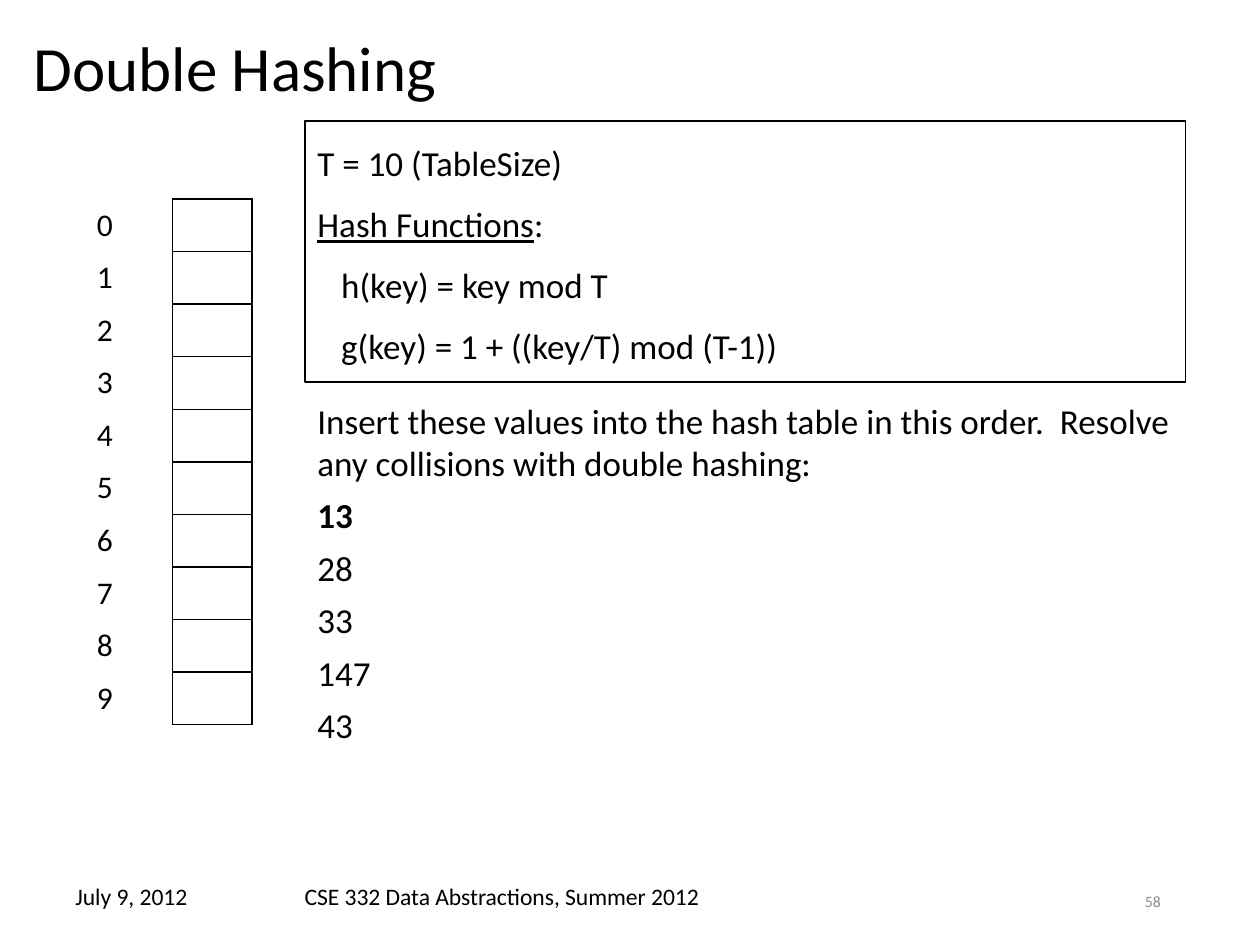
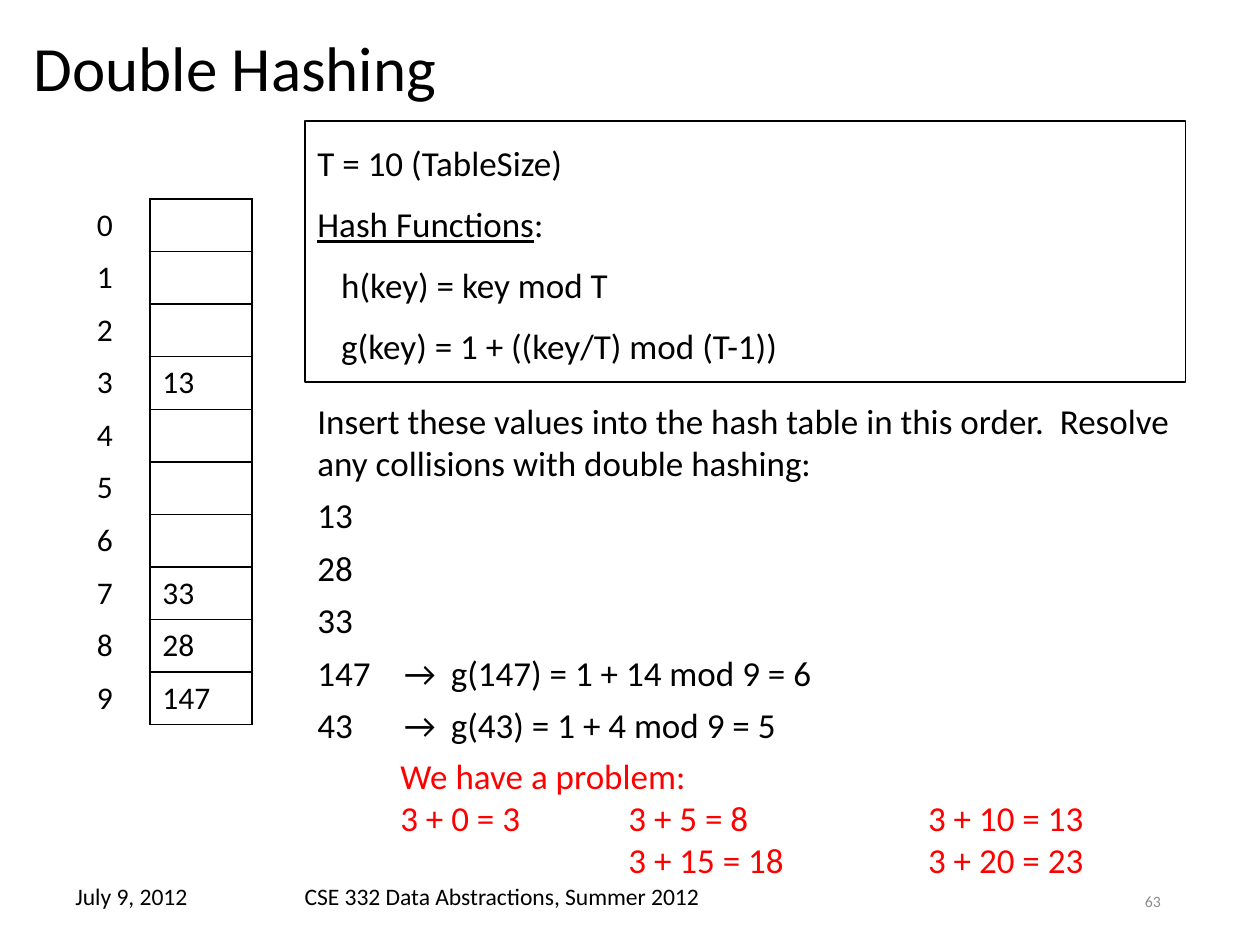
from dataclasses import dataclass
from typing import Optional

import pptx
import pptx.dml.color
import pptx.enum.shapes
import pptx.enum.text
import pptx.oxml
import pptx.oxml.ns
import pptx.util
from pptx.util import Cm

BLACK = pptx.dml.color.RGBColor(0x00, 0x00, 0x00)
GRAY = pptx.dml.color.RGBColor(0x8C, 0x8C, 0x8C)
RED = pptx.dml.color.RGBColor(0xFF, 0x00, 0x00)
FONT = "Calibri"
BODY_SIZE = 20
BUCKET_SIZE = 18
BUCKET_COUNT = 10
BUCKET_HEIGHT = Cm(1.06)
BORDER_WIDTH = pptx.util.Pt(1)
STEP_TABS = (Cm(1.75), Cm(2.69))
PROBE_TABS = (Cm(4.6), Cm(10.64))
ANCHOR = pptx.enum.text.MSO_ANCHOR
ALIGN = pptx.enum.text.PP_ALIGN


@dataclass(frozen=True)
class Box:
    left: Cm
    top: Cm
    width: Cm
    height: Cm


@dataclass(frozen=True)
class Line:
    text: str
    underlined: str = ""
    bold: bool = False
    margin: Cm = Cm(0)
    tabs: tuple[Cm, ...] = ()


@dataclass(frozen=True)
class TextStyle:
    size: float = BODY_SIZE
    color: pptx.dml.color.RGBColor = BLACK
    align: ALIGN = ALIGN.LEFT
    anchor: ANCHOR = ANCHOR.TOP
    line_spacing: float = 1.0
    space_before: float = 0
    grow: bool = False


@dataclass(frozen=True)
class HashingStep:
    number: str
    values: tuple[Line, ...]
    values_height: Cm
    buckets: dict[int, str]
    index_width: Cm
    bucket_width: Cm
    problem: tuple[Line, ...] = ()


TITLE_BOX = Box(Cm(0.43), Cm(0.48), Cm(24.56), Cm(1.9))
FUNCTIONS_BOX = Box(Cm(6.15), Cm(2.44), Cm(17.75), Cm(5.26))
PROBLEM_BOX = Box(Cm(7.82), Cm(15.09), Cm(17.12), Cm(2.82))
FOOTER_TOP, FOOTER_HEIGHT = Cm(17.65), Cm(1.02)
DATE_BOX = Box(Cm(1.27), FOOTER_TOP, Cm(4.45), FOOTER_HEIGHT)
COURSE_BOX = Box(Cm(5.89), FOOTER_TOP, Cm(13.59), FOOTER_HEIGHT)
NUMBER_BOX = Box(Cm(17.93), FOOTER_TOP, Cm(5.72), FOOTER_HEIGHT)

TITLE_STYLE = TextStyle(36, anchor=ANCHOR.MIDDLE, line_spacing=0.9)
FUNCTIONS_STYLE = TextStyle(line_spacing=1.2, space_before=6, grow=True)
VALUES_STYLE = TextStyle(space_before=6, grow=True)
PROBLEM_STYLE = TextStyle(color=RED, grow=True)
FOOTER_STYLE = TextStyle(13.5)
NUMBER_STYLE = TextStyle(9, GRAY, ALIGN.RIGHT, ANCHOR.MIDDLE)
BUCKET_STYLE = TextStyle(BUCKET_SIZE, anchor=ANCHOR.MIDDLE)

FUNCTION_LINES = (
    Line("T = 10 (TableSize)"),
    Line(":", underlined="Hash Functions"),
    Line("h(key) = key mod T", margin=Cm(0.48)),
    Line("g(key) = 1 + ((key/T) mod (T-1))", margin=Cm(0.48)),
)
TASK = Line(
    "Insert these values into the hash table in this order.  "
    "Resolve any collisions with double hashing:"
)

STEPS = (
    HashingStep(
        number="58",
        values=(Line("13", bold=True), Line("28"), Line("33"), Line("147"), Line("43")),
        values_height=Cm(7.32),
        buckets={},
        index_width=Cm(1.78),
        bucket_width=Cm(1.6),
    ),
    HashingStep(
        number="63",
        values=(
            Line("13"),
            Line("28"),
            Line("33"),
            Line("147\t→\tg(147) = 1 + 14 mod 9 = 6", tabs=STEP_TABS),
            Line("43\t→\tg(43) = 1 + 4 mod 9 = 5", tabs=STEP_TABS),
        ),
        values_height=Cm(8.38),
        buckets={3: "13", 7: "33", 8: "28", 9: "147"},
        index_width=Cm(1.32),
        bucket_width=Cm(2.06),
        problem=(
            Line("We have a problem:"),
            Line(
                "3 + 0 = 3\t3 + 5 = 8\t3 + 10 = 13\v\t3 + 15 = 18\t3 + 20 = 23",
                tabs=PROBE_TABS,
            ),
        ),
    ),
)


def add_element(parent, tag: str, **attributes: str):
    element = parent.makeelement(pptx.oxml.ns.qn(tag), attributes)
    parent.append(element)
    return element


def write_line(paragraph, line: Line, style: TextStyle) -> None:
    paragraph.text = line.text
    if line.underlined:
        paragraph.text = ""
        heading = paragraph.add_run()
        heading.text = line.underlined
        heading.font.underline = True
        paragraph.add_run().text = line.text
    paragraph.alignment = style.align
    paragraph.line_spacing = style.line_spacing
    properties = paragraph._p.get_or_add_pPr()
    if line.margin:
        properties.set("marL", str(line.margin))
    if line.tabs:
        tab_list = add_element(properties, "a:tabLst")
        for position in line.tabs:
            add_element(tab_list, "a:tab", pos=str(position), algn="l")
    paragraph.font.name = FONT
    paragraph.font.size = pptx.util.Pt(style.size)
    paragraph.font.color.rgb = style.color
    paragraph.font.bold = line.bold


def fill_frame(frame, lines: tuple[Line, ...], style: TextStyle) -> None:
    frame.word_wrap = True
    frame.vertical_anchor = style.anchor
    if style.grow:
        frame.auto_size = pptx.enum.text.MSO_AUTO_SIZE.SHAPE_TO_FIT_TEXT
    for position, line in enumerate(lines):
        paragraph = frame.add_paragraph() if position else frame.paragraphs[0]
        if position and style.space_before:
            paragraph.space_before = pptx.util.Pt(style.space_before)
        write_line(paragraph, line, style)


def add_text(slide, box: Box, lines: tuple[Line, ...], style: TextStyle) -> None:
    area = slide.shapes.add_textbox(box.left, box.top, box.width, box.height)
    fill_frame(area.text_frame, lines, style)


def add_functions(slide) -> None:
    box = FUNCTIONS_BOX
    panel = slide.shapes.add_shape(
        pptx.enum.shapes.MSO_SHAPE.RECTANGLE, box.left, box.top, box.width, box.height
    )
    panel.shadow.inherit = False
    panel.fill.background()
    panel.line.color.rgb = BLACK
    panel.line.width = pptx.util.Pt(0.75)
    frame = panel.text_frame
    frame.margin_left = frame.margin_right = Cm(0.25)
    frame.margin_top = frame.margin_bottom = Cm(0.25)
    fill_frame(frame, FUNCTION_LINES, FUNCTIONS_STYLE)


def format_cell(cell, text: str, black_sides: str) -> None:
    cell.vertical_anchor = BUCKET_STYLE.anchor
    write_line(cell.text_frame.paragraphs[0], Line(text), BUCKET_STYLE)
    properties = cell._tc.get_or_add_tcPr()
    for side in "LRTB":
        border = add_element(properties, f"a:ln{side}", w=str(BORDER_WIDTH))
        if side in black_sides:
            fill = add_element(border, "a:solidFill")
            add_element(fill, "a:srgbClr", val=str(BLACK))
        else:
            add_element(border, "a:noFill")
    cell.fill.background()


def add_hash_table(slide, step: HashingStep) -> None:
    widths = (step.index_width, step.bucket_width)
    table = slide.shapes.add_table(
        BUCKET_COUNT, 2, Cm(1.7), Cm(4.01), sum(widths), BUCKET_HEIGHT * BUCKET_COUNT
    ).table
    table.first_row = table.horz_banding = False
    for column, width in zip(table.columns, widths):
        column.width = width
    for index, row in enumerate(table.rows):
        row.height = BUCKET_HEIGHT
        format_cell(row.cells[0], str(index), "R")
        format_cell(row.cells[1], step.buckets.get(index, ""), "LRTB")


def add_step(deck, step: HashingStep) -> None:
    slide = deck.slides.add_slide(deck.slide_layouts[6])
    add_text(slide, TITLE_BOX, (Line("Double Hashing"),), TITLE_STYLE)
    add_functions(slide)
    add_text(slide, DATE_BOX, (Line("July 9, 2012"),), FOOTER_STYLE)
    course = Line("CSE 332 Data Abstractions, Summer 2012")
    add_text(slide, COURSE_BOX, (course,), FOOTER_STYLE)
    add_text(slide, NUMBER_BOX, (Line(step.number),), NUMBER_STYLE)
    values_box = Box(Cm(6.15), Cm(7.92), Cm(18.49), step.values_height)
    add_text(slide, values_box, (TASK, *step.values), VALUES_STYLE)
    add_hash_table(slide, step)
    if step.problem:
        add_text(slide, PROBLEM_BOX, step.problem, PROBLEM_STYLE)


def main(steps: Optional[tuple[HashingStep, ...]] = None) -> None:
    deck = pptx.Presentation()
    deck.slide_width, deck.slide_height = Cm(25.4), Cm(19.05)
    for step in steps or STEPS:
        add_step(deck, step)
    deck.save("out.pptx")


if __name__ == "__main__":
    main()
